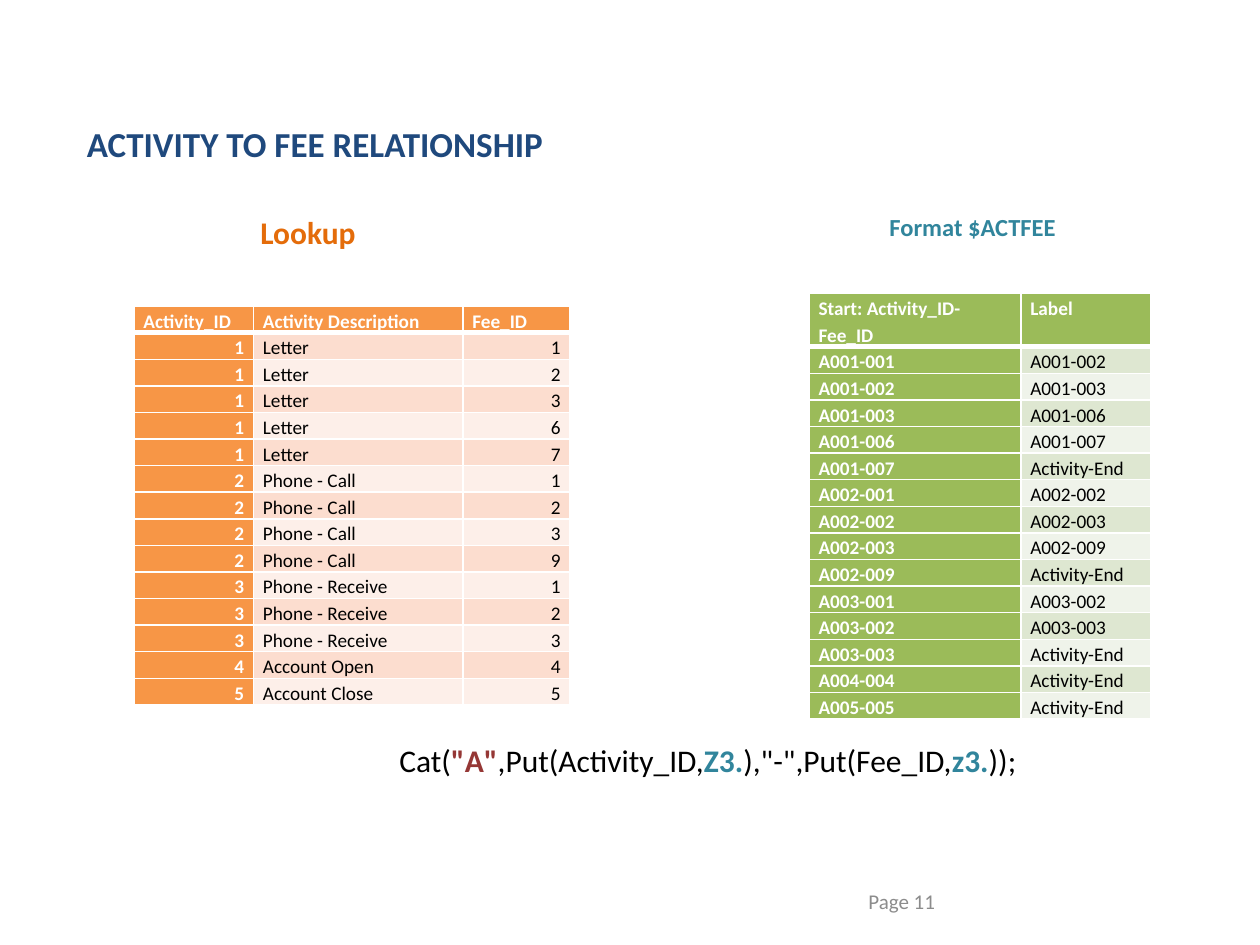
import pptx
import pptx.dml.color
import pptx.enum.text
import pptx.oxml
import pptx.oxml.ns
import pptx.util

Cm = pptx.util.Cm
Pt = pptx.util.Pt
Align = pptx.enum.text.PP_ALIGN
Anchor = pptx.enum.text.MSO_ANCHOR


def hue(code):
    return pptx.dml.color.RGBColor.from_string(code)


class Deck:
    font = "Calibri"
    white = "FFFFFF"
    black = "000000"
    pad = 0.19
    row = 0.53

    def __init__(self, wide, high):
        self.show = pptx.Presentation()
        self.show.slide_width = Cm(wide)
        self.show.slide_height = Cm(high)
        self.slide = self.show.slides.add_slide(self.show.slide_layouts[6])

    def run(self, para, words, size, color, bold=False):
        run = para.add_run()
        run.text = words
        run.font.name = self.font
        run.font.size = Pt(size)
        run.font.bold = bold
        run.font.color.rgb = hue(color)

    def text(self, box, size, parts, align=Align.LEFT, anchor=Anchor.TOP):
        shape = self.slide.shapes.add_textbox(*map(Cm, box))
        frame = shape.text_frame
        frame.word_wrap = True
        frame.vertical_anchor = anchor
        para = frame.paragraphs[0]
        para.alignment = align
        for words, color, bold in parts:
            self.run(para, words, size, color, bold)

    def edge(self, cell, side, width):
        props = cell._tc.get_or_add_tcPr()
        line = pptx.oxml.parse_xml(
            f'<a:{side} {pptx.oxml.ns.nsdecls("a")} w="{Pt(width)}"><a:solidFill>'
            f'<a:srgbClr val="{self.white}"/></a:solidFill></a:{side}>')
        props.append(line)

    def cell(self, cell, words, fill, color, bold, align, top, base):
        cell.margin_left = cell.margin_right = Cm(self.pad)
        cell.margin_top = cell.margin_bottom = 0
        for side, width in (("lnL", 1), ("lnR", 1), ("lnT", top), ("lnB", base)):
            self.edge(cell, side, width)
        cell.fill.solid()
        cell.fill.fore_color.rgb = hue(fill)
        para = cell.text_frame.paragraphs[0]
        para.alignment = align
        para.line_spacing = 1.15
        self.run(para, words, 11, color, bold)

    def table(self, left, top, cols, rows, main, bands):
        size = sum(cols), self.row * len(rows)
        grid = self.slide.shapes.add_table(
            len(rows), len(cols), Cm(left), Cm(top), *map(Cm, size)).table
        for col, width in zip(grid.columns, cols):
            col.width = Cm(width)
        for r, row in enumerate(rows):
            grid.rows[r].height = Cm(self.row)
            for c, value in enumerate(row):
                key = r == 0 or c == 0
                self.cell(
                    grid.cell(r, c), str(value),
                    main if key else bands[(r - 1) % 2],
                    self.white if key else self.black, key,
                    Align.RIGHT if isinstance(value, int) else Align.LEFT,
                    3 if r == 1 else 1, 3 if r == 0 else 1)


def main():
    acts = [
        (1, "Letter", [1, 2, 3, 6, 7]),
        (2, "Phone - Call", [1, 2, 3, 9]),
        (3, "Phone - Receive", [1, 2, 3]),
        (4, "Account Open", [4]),
        (5, "Account Close", [5]),
    ]
    lookup = [("Activity_ID", "Activity Description", "Fee_ID")]
    chain = [("Start: Activity_ID-Fee_ID", "Label")]
    for act, name, fees in acts:
        lookup += [(act, name, fee) for fee in fees]
        keys = [f"A{act:03}-{fee:03}" for fee in fees]
        chain += zip(keys, keys[1:] + ["Activity-End"])

    teal = "31859C"
    deck = Deck(25.4, 19.05)
    deck.text((1.5, 2.34, 22.2, 1.12), 20,
              [("ACTIVITY TO FEE RELATIONSHIP", "1F497D", True)])
    deck.text((17.68, 4.14, 4.19, 0.86), 14, [("Format $ACTFEE", teal, True)])
    deck.table(2.7, 6.17, (2.41, 4.22, 2.16), lookup,
               "F79646", ("FCDDCF", "FDEFE9"))
    deck.text((5, 4.17, 4.19, 1.02), 18, [("Lookup", "E46C0A", True)])
    deck.table(16.31, 5.92, (4.27, 2.62), chain,
               "9BBB59", ("DEE7D1", "EFF3EA"))
    deck.text((7.8, 14.81, 14.1, 1.8), 18, [
        ("Cat(", deck.black, False),
        ('"A"', "953735", True),
        (",Put(Activity_ID,", deck.black, False),
        ("Z3.", teal, True),
        ('),"-",Put(Fee_ID,', deck.black, False),
        ("z3.", teal, True),
        ("));", deck.black, False),
    ])
    deck.text((12.09, 17.65, 7.01, 1.02), 12, [("Page 11", "8C8C8C", False)],
              Align.RIGHT, Anchor.MIDDLE)
    deck.show.save("out.pptx")


if __name__ == "__main__":
    main()
